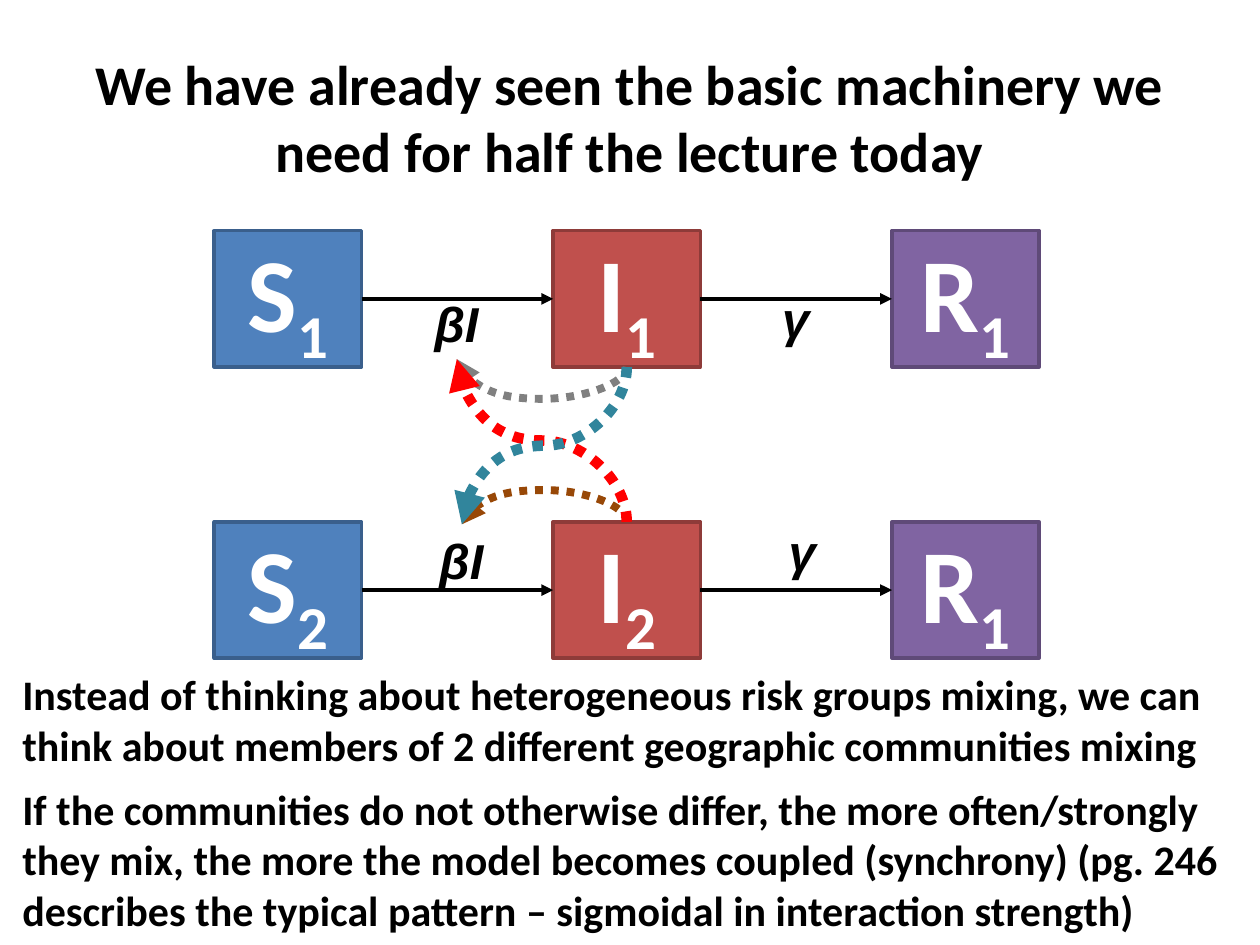
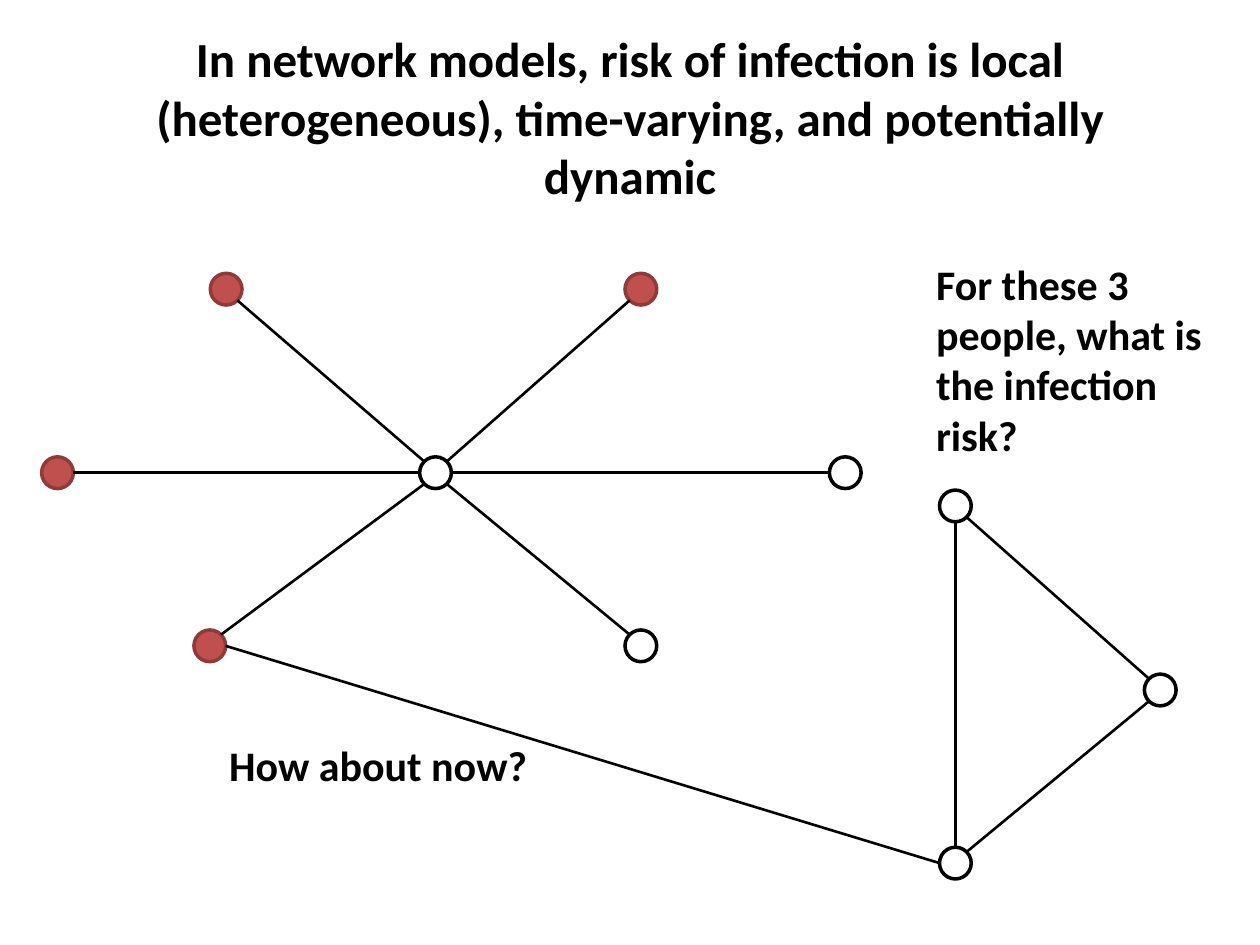
import math
from itertools import pairwise

from lxml import etree
from pptx import Presentation
from pptx.dml.color import RGBColor
from pptx.enum import dml, shapes, text
from pptx.oxml.ns import qn
from pptx.util import Cm, Pt

COLOURS = {
    "ink": "000000", "paper": "FFFFFF",
    "susceptible": "4F81BD", "susceptible_edge": "3A5F8C",
    "infected": "C0504D", "infected_edge": "8E3B39",
    "recovered": "8064A2", "recovered_edge": "5F4A78",
    "within_1": "808080", "within_2": "984807",
    "from_2_to_1": "FF0000", "from_1_to_2": "31859C",
}
BODY_FONT, SYMBOL_FONT = "Calibri", "Arial"

BOX_W, BOX_H, BOX_STEP = 2.97, 2.75, 6.83
BULGE = Cm(0.64)
NODE = 0.64


def rgb(name):
    return RGBColor.from_string(COLOURS[name])


def style_run(run, size, colour="ink", font=BODY_FONT, italic=False):
    run.font.size, run.font.name = Pt(size), font
    run.font.bold, run.font.italic = True, italic
    run.font.color.rgb = rgb(colour)


def add_text(slide, box, words, size, wrap=True, **run_style):
    words_box = slide.shapes.add_textbox(*(Cm(v) for v in box))
    frame = words_box.text_frame
    frame.word_wrap = wrap
    frame.text = words
    style_run(frame.paragraphs[0].runs[0], size, **run_style)
    return words_box


def add_title(slide, words, size):
    frame = add_text(slide, (1.27, 0.76, 22.86, 3.18), words, size).text_frame
    frame.vertical_anchor = text.MSO_ANCHOR.MIDDLE
    frame.paragraphs[0].alignment = text.PP_ALIGN.CENTER


def add_filled(slide, preset, box, fill, edge):
    shape = slide.shapes.add_shape(preset, *(Cm(v) for v in box))
    shape.shadow.inherit = False
    shape.fill.solid()
    shape.fill.fore_color.rgb = rgb(fill)
    shape.line.color.rgb = rgb(edge)
    shape.line.width = Pt(2)
    return shape


def add_link(slide, ends, width, colour="ink", kind=shapes.MSO_CONNECTOR.STRAIGHT, arrow=False):
    link = slide.shapes.add_connector(kind, *(int(v) for v in ends))
    link.line.color.rgb = rgb(colour)
    link.line.width = Pt(width)
    etree.SubElement(link._element.spPr, qn("a:effectLst"))
    if arrow:
        etree.SubElement(link.line._get_or_add_ln(), qn("a:tailEnd"), type="triangle")
    return link


def add_mixing_curve(slide, start, end, colour, width, via_y=None):
    """Dotted arrow that leaves and arrives vertically, turning at via_y (halfway if None)."""
    (x1, y1), (x2, y2) = start, end
    mid_x, mid_y, dx, dy = (x1 + x2) / 2, (y1 + y2) / 2, x2 - x1, y2 - y1
    # The connector is laid out sideways about its centre, then turned by 90 degrees.
    sideways = (mid_x - dy / 2, mid_y + dx / 2, mid_x + dy / 2, mid_y - dx / 2)
    curve = add_link(slide, sideways, width, colour, shapes.MSO_CONNECTOR.CURVE)
    curve.line.dash_style = dml.MSO_LINE.ROUND_DOT
    etree.SubElement(curve.line._get_or_add_ln(), qn("a:tailEnd"), type="triangle")
    properties = curve._element.spPr
    properties.find(qn("a:xfrm")).set("rot", "5400000")
    if via_y is not None:
        adjustments = properties.find(qn("a:prstGeom")).get_or_add_avLst()
        turn = round((via_y - y1) / dy * 100000)
        etree.SubElement(adjustments, qn("a:gd"), name="adj1", fmla=f"val {turn}")


def add_compartment(slide, box, letter, number, state):
    compartment = add_filled(slide, shapes.MSO_SHAPE.RECTANGLE, box, state, state + "_edge")
    frame = compartment.text_frame
    frame.vertical_anchor = text.MSO_ANCHOR.MIDDLE
    paragraph = frame.paragraphs[0]
    paragraph.alignment = text.PP_ALIGN.CENTER
    for part in (letter, number):
        run = paragraph.add_run()
        run.text = part
        style_run(run, 60, "paper")
    run.font._element.set("baseline", "-25000")
    return compartment


def add_sir_row(slide, left, top, numbers, beta_at, gamma_at):
    """One community; returns its infected box and its infection-rate label."""
    states = zip("SIR", numbers, ("susceptible", "infected", "recovered"))
    row = [add_compartment(slide, (left + i * BOX_STEP, top, BOX_W, BOX_H), *state)
           for i, state in enumerate(states)]
    for source, target in pairwise(row):
        flow = add_link(slide, (0, 0, 0, 0), 2.25, arrow=True)
        flow.begin_connect(source, 3)
        flow.end_connect(target, 1)
    beta, _ = [
        add_text(slide, (left + x, top + y, width, 1.45), symbol, 28, wrap=False,
                 font=SYMBOL_FONT, italic=True)
        for symbol, (x, y), width in (("βI", beta_at, 1.4), ("γ", gamma_at, 1.07))]
    return row[1], beta


def add_mixing(slide, first, second):
    (infected_1, beta_1), (infected_2, beta_2) = first, second
    from_1 = infected_1.left + infected_1.width / 2, infected_1.top + infected_1.height
    from_2 = infected_2.left + infected_2.width / 2, infected_2.top
    to_1 = beta_1.left + beta_1.width / 2, beta_1.top + beta_1.height
    to_2 = beta_2.left + beta_2.width / 2, beta_2.top
    add_mixing_curve(slide, from_2, to_2, "within_2", 4.5, from_2[1] - BULGE)
    add_mixing_curve(slide, from_1, to_1, "within_1", 4.5, from_1[1] + BULGE)
    add_mixing_curve(slide, from_2, to_1, "from_2_to_1", 6)
    add_mixing_curve(slide, from_1, to_2, "from_1_to_2", 6)


def build_coupling_slide(slide):
    add_title(slide, "We have already seen the basic machinery we need for half the lecture today", 32)
    first = add_sir_row(slide, 4.32, 4.65, "111", (4.19, 1.14), (11.2, 1.04))
    second = add_sir_row(slide, 4.32, 10.52, "221", (4.29, 0.05), (11.33, -0.13))
    add_mixing(slide, first, second)
    add_text(slide, (0.2, 13.36, 24.97, 2.31),
             "Instead of thinking about heterogeneous risk groups mixing, we can think about "
             "members of 2 different geographic communities mixing", 24)
    add_text(slide, (0.2, 15.67, 24.97, 3.33),
             "If the communities do not otherwise differ, the more often/strongly they mix, "
             "the more the model becomes coupled (synchrony) (pg. 246 describes the typical "
             "pattern – sigmoidal in interaction strength)", 24)


def add_tie(slide, start, end):
    """Join two people at the eighth of each circle that best faces the other."""
    eighth = math.pi / 4
    angle = round(math.atan2(end[1] - start[1], end[0] - start[0]) / eighth) * eighth
    dx, dy = NODE / 2 * math.cos(angle), NODE / 2 * math.sin(angle)
    ends = (start[0] + dx, start[1] + dy, end[0] - dx, end[1] - dy)
    add_link(slide, [Cm(v) for v in ends], 1.5)


def add_network(slide, left, top, people, infected, ties):
    """Place people by centre from (left, top); returns their centres on the slide."""
    centres = {name: (left + x, top + y) for name, (x, y) in people.items()}
    for name, (x, y) in centres.items():
        colours = ("infected", "infected_edge") if name in infected else ("paper", "ink")
        add_filled(slide, shapes.MSO_SHAPE.OVAL,
                   (x - NODE / 2, y - NODE / 2, NODE, NODE), *colours)
    for start, end in ties:
        add_tie(slide, centres[start], centres[end])
    return centres


def build_network_slide(slide):
    add_title(slide, "In network models, risk of infection is local (heterogeneous), "
                     "time-varying, and potentially dynamic", 28)
    contacts = {"nw": (3.4, 0), "ne": (11.76, 0), "w": (0, 3.7), "e": (15.88, 3.7),
                "sw": (3.07, 7.19), "se": (11.76, 7.19)}
    star = add_network(slide, 1.16, 5.83, {**contacts, "hub": (7.62, 3.7)},
                       {"nw", "ne", "w", "sw"}, [(name, "hub") for name in contacts])
    trio = add_network(slide, 19.26, 10.2,
                       {"top": (0, 0), "right": (4.13, 3.71), "bottom": (0, 7.2)}, set(),
                       [("top", "bottom"), ("right", "bottom"), ("top", "right")])
    add_text(slide, (18.62, 5.08, 6.55, 4.37),
             "For these 3 people, what is the infection risk?", 24)
    add_tie(slide, trio["bottom"], star["sw"])
    add_text(slide, (4.37, 14.78, 6.55, 1.27), "How about now?", 24)


def main():
    deck = Presentation()
    deck.slide_width, deck.slide_height = Cm(25.4), Cm(19.05)
    for build in (build_coupling_slide, build_network_slide):
        build(deck.slides.add_slide(deck.slide_layouts[6]))
    deck.save("out.pptx")


if __name__ == "__main__":
    main()
